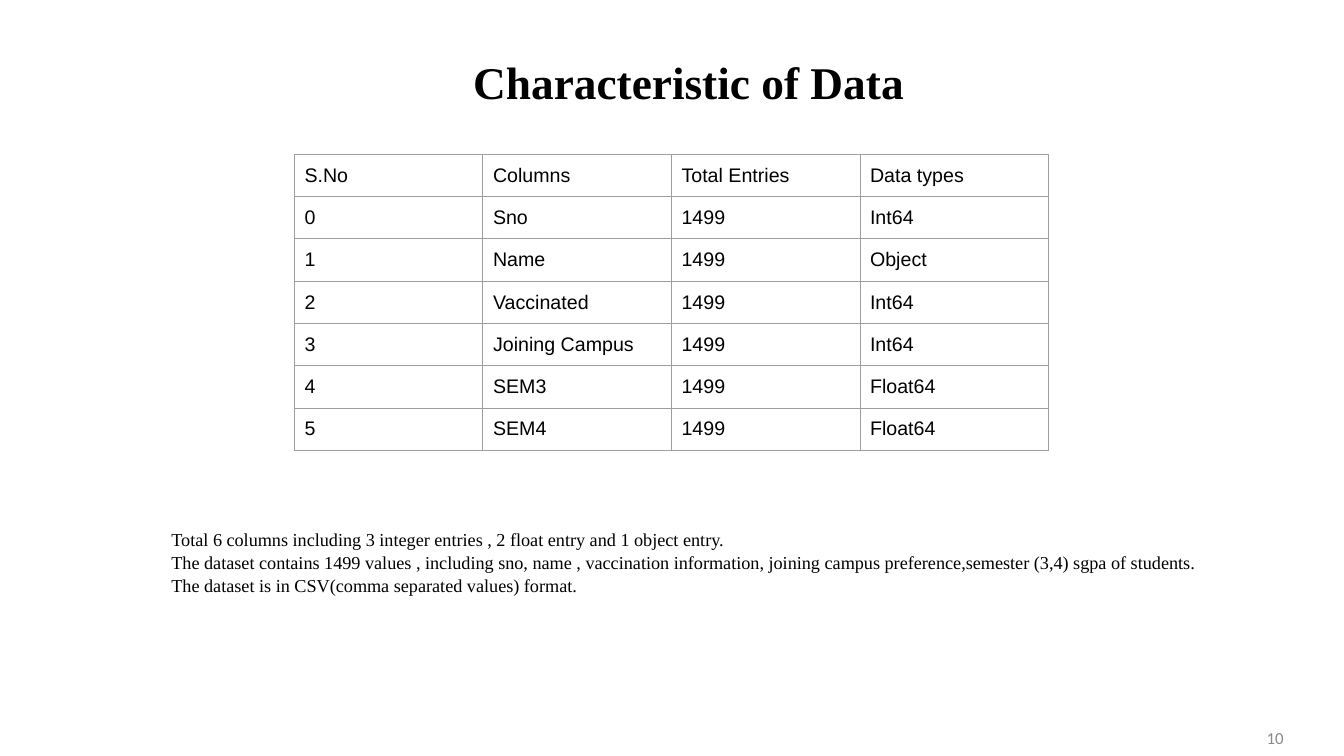
from pptx import Presentation
from pptx.dml.color import RGBColor
from pptx.enum.text import MSO_ANCHOR, MSO_AUTO_SIZE, PP_ALIGN
from pptx.oxml import parse_xml
from pptx.oxml.ns import nsdecls
from pptx.util import Inches, Pt

COLORS = {"text": "000000", "border": "9E9E9E", "number": "888888"}
SERIF = "Times New Roman"


def write(frame, text, font="Arial", size=14, color="text", bold=False,
          align=PP_ALIGN.LEFT, anchor=MSO_ANCHOR.TOP, inset=0.1, spacing=1.0):
    frame.word_wrap = True
    frame.vertical_anchor = anchor
    frame.margin_left = frame.margin_right = Inches(0.1)
    frame.margin_top = frame.margin_bottom = Inches(inset)
    frame.text = text
    for para in frame.paragraphs:
        para.alignment = align
        para.space_before = para.space_after = Pt(0)
        para.line_spacing = spacing
        for span in para.runs:
            span.font.name = font
            span.font.size = Pt(size)
            span.font.bold = bold
            span.font.color.rgb = RGBColor.from_string(COLORS[color])


def place(shape, left, top, width, height):
    shape.left, shape.top = Inches(left), Inches(top)
    shape.width, shape.height = Inches(width), Inches(height)


deck = Presentation()
deck.slide_width, deck.slide_height = Inches(13.33), Inches(7.5)
page = deck.slides.add_slide(deck.slide_layouts[1])

title = page.shapes.title
place(title, 0.83, 0.43, 12, 0.76)
write(title.text_frame, "Characteristic of Data", font=SERIF, size=32.4, bold=True,
      align=PP_ALIGN.CENTER, anchor=MSO_ANCHOR.MIDDLE, inset=0.05)
title.text_frame.auto_size = MSO_AUTO_SIZE.NONE

rows = [
    ("S.No", "Columns", "Total Entries", "Data types"),
    ("0", "Sno", "1499", "Int64"),
    ("1", "Name", "1499", "Object"),
    ("2", "Vaccinated", "1499", "Int64"),
    ("3", "Joining Campus", "1499", "Int64"),
    ("4", "SEM3", "1499", "Float64"),
    ("5", "SEM4", "1499", "Float64"),
]
table = page.shapes.add_table(
    len(rows), len(rows[0]), Inches(2.92), Inches(1.53),
    Inches(1.87 * len(rows[0])), Inches(0.42 * len(rows))).table
table.first_row = table.horz_banding = False
for row_index, row in enumerate(rows):
    for column_index, text in enumerate(row):
        cell = table.cell(row_index, column_index)
        write(cell.text_frame, text)
        cell.margin_left = cell.margin_right = Inches(0.1)
        cell.margin_top = cell.margin_bottom = Inches(0.1)
        properties = cell._tc.get_or_add_tcPr()
        for side in ("lnL", "lnR", "lnT", "lnB"):
            properties.append(parse_xml(
                f'<a:{side} {nsdecls("a")} w="{Pt(0.75)}"><a:solidFill>'
                f'<a:srgbClr val="{COLORS["border"]}"/></a:solidFill></a:{side}>'))
        cell.fill.background()

summary = page.placeholders[1]
place(summary, 1.6, 5.13, 10.46, 0.86)
write(summary.text_frame, "\n".join([
    "Total 6 columns including 3 integer entries , 2 float entry and 1 object entry.",
    "The dataset contains 1499 values , including sno, name , vaccination information, "
    "joining campus preference,semester (3,4) sgpa of students.",
    "The dataset is in CSV(comma separated values) format.",
]), font=SERIF, size=13, align=PP_ALIGN.JUSTIFY, spacing=1.05)
summary.text_frame.auto_size = MSO_AUTO_SIZE.NONE
for para in summary.text_frame.paragraphs:
    properties = para._p.get_or_add_pPr()
    properties.set("marL", "0")
    properties.set("indent", "0")
    properties.append(parse_xml(f'<a:buNone {nsdecls("a")}/>'))

number = page.shapes.add_textbox(Inches(9.72), Inches(7.12), Inches(3.11), Inches(0.4))
write(number.text_frame, "10", font="Calibri", size=12, color="number",
      align=PP_ALIGN.RIGHT, anchor=MSO_ANCHOR.MIDDLE, inset=0.05)

deck.save("out.pptx")
